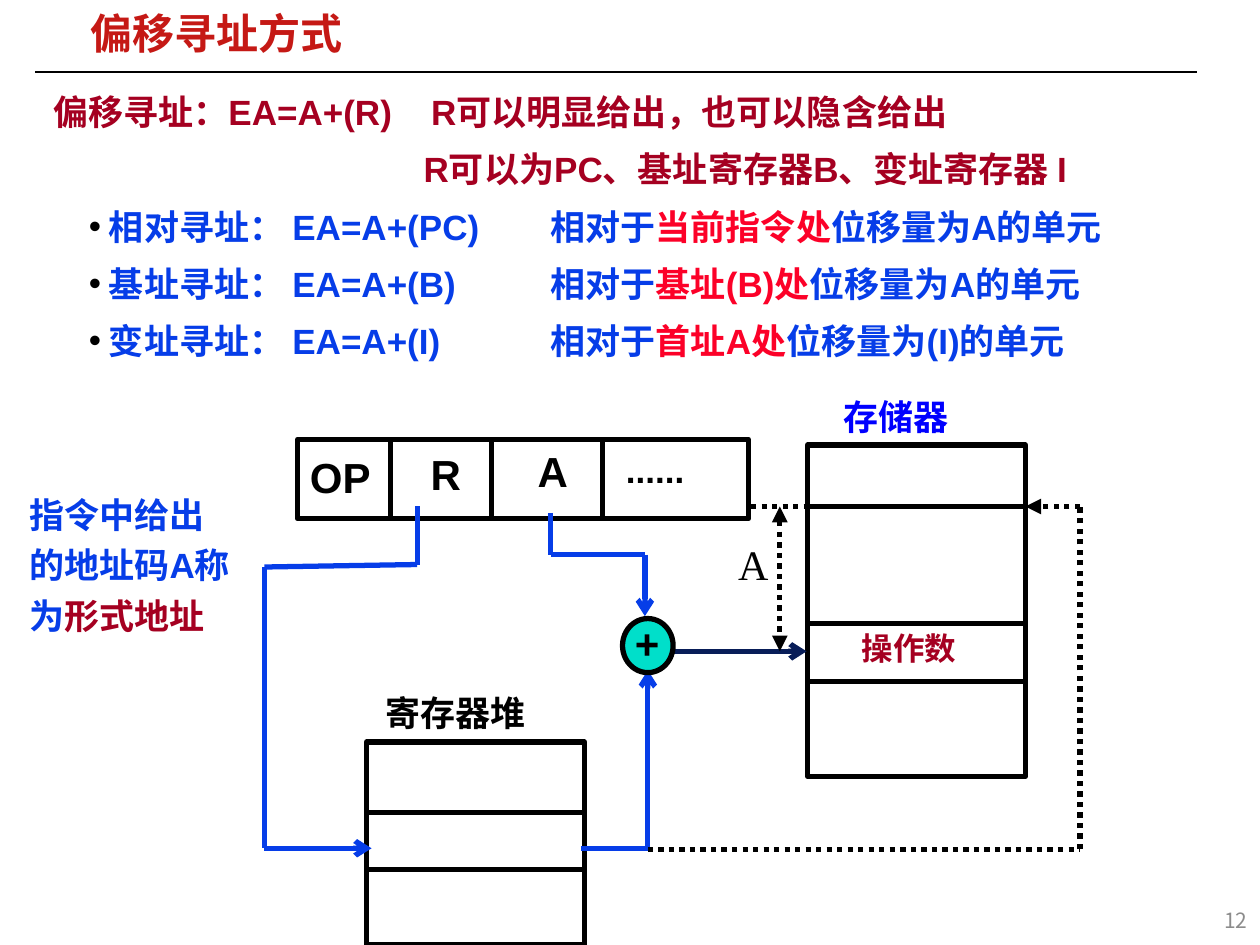
from pptx import Presentation
from pptx.dml.color import RGBColor
from pptx.enum.dml import MSO_LINE
from pptx.enum.shapes import MSO_CONNECTOR, MSO_SHAPE
from pptx.enum.text import MSO_ANCHOR, MSO_AUTO_SIZE, PP_ALIGN
from pptx.oxml.ns import qn
from pptx.util import Cm, Pt
from lxml import etree

STRAIGHT = MSO_CONNECTOR.STRAIGHT
RECT, OVAL = MSO_SHAPE.RECTANGLE, MSO_SHAPE.OVAL
TOP, MIDDLE = MSO_ANCHOR.TOP, MSO_ANCHOR.MIDDLE
LEFT, RIGHT = PP_ALIGN.LEFT, PP_ALIGN.RIGHT
DOT, NO_FIT = MSO_LINE.ROUND_DOT, MSO_AUTO_SIZE.NONE


class Theme:
    sans, serif, han = "Arial", "Times New Roman", "Noto Sans CJK SC"
    black, title, wine = "000000", "C51915", "A50021"
    blue, red, pure = "063DE8", "FC0128", "0000FF"
    navy, teal, gray = "081D58", "00DFCA", "8C8C8C"
    big, mid, small, tiny = 24, 20, 18, 12
    thick, thin = 3, 1
    tight, loose = (0.18, 0.08), (0.25, 0.13)


T = Theme

# All lengths are in centimetres: left, top, width, height.
TITLE = ("偏移寻址方式", (1.65, 0.23, 6.38, 1.02))
BODY = (0.89, 1.57, 22.96, 5.89)
HEADS = [
    ("偏移寻址：EA=A+(R)\tR可以明显给出，也可以隐含给出", 0, 7.6),
    ("R可以为PC、基址寄存器B、变址寄存器 I", 7.47, None),
]
MODES = [
    ("相对寻址： EA=A+(PC)\t相对于", "当前指令处", "位移量为A的单元"),
    ("基址寻址： EA=A+(B)\t相对于", "基址(B)处", "位移量为A的单元"),
    ("变址寻址： EA=A+(I)\t相对于", "首址A处", "位移量为(I)的单元"),
]
MODE_IN, MODE_TAB = 0.72, 10.03

CODE = (6.0, 8.86, 9.09, 1.6)
CODE_CUTS = [7.87, 9.91, 12.14]
MEMORY = (16.28, 8.97, 4.39, 6.68)
MEMORY_CUTS = [10.21, 12.57, 13.74]
FILE = (7.39, 14.96, 4.39, 4.09)
FILE_CUTS = [16.38, 17.53]
ADDER = (12.55, 12.47, 1.02, 1.09)

# Each wire: points, colour, dash, arrow at start, arrow at end.
WIRES = [
    ([(8.41, 10.21), (8.41, 11.38), (5.33, 11.43), (5.33, 17.1), (7.49, 17.1)],
     T.blue, None, None, "arrow"),
    ([(11.1, 10.34), (11.1, 11.18), (13.0, 11.18), (13.0, 12.42)],
     T.blue, None, None, "arrow"),
    ([(11.71, 17.1), (13.06, 17.1), (13.06, 13.51)],
     T.blue, None, None, "arrow"),
    ([(13.57, 13.13), (16.26, 13.13)], T.navy, None, None, "arrow"),
    ([(13.06, 17.12), (21.77, 17.12), (21.77, 10.21), (20.67, 10.21)],
     T.black, DOT, None, "triangle"),
    ([(15.14, 10.21), (16.26, 10.21)], T.black, DOT, None, None),
    ([(15.72, 10.21), (15.72, 13.13)], T.black, DOT, "triangle", "triangle"),
]

# Each label: text, box, font, size, colour, bold.
LABELS = [
    ("OP", (6.0, 8.97, 2.21, 1.27), T.sans, T.big, T.black, True),
    ("R", (8.43, 8.92, 1.17, 1.27), T.sans, T.big, T.black, True),
    ("A", (10.59, 8.86, 1.17, 1.27), T.sans, T.big, T.black, True),
    ("......", (12.37, 8.92, 2.29, 0.99), T.sans, T.mid, T.black, True),
    ("存储器", (16.76, 7.85, 3.84, 1.09), T.serif, T.mid, T.pure, True),
    ("操作数", (17.12, 12.55, 2.82, 1.02), T.serif, T.small, T.wine, True),
    ("寄存器堆", (7.52, 13.82, 4.7, 1.09), T.serif, T.mid, T.black, True),
    ("+", (12.55, 12.32, 1.02, 1.27), T.sans, T.big, T.black, True),
    ("A", (14.63, 10.72, 1.45, 1.27), T.serif, T.big, T.black, False),
]
NOTE = ("指令中给出的地址码A称为", "形式地址")
NOTE_BOX = (0.41, 9.7, 4.52, 3.23)
PAGE = ("12", (19.69, 18.03, 5.71, 1.02))


def ink(code):
    return RGBColor.from_string(code)


def style(run, size, color, font=T.sans, bold=True):
    run.font.name, run.font.size, run.font.bold = font, Pt(size), bold
    run.font.color.rgb = ink(color)
    east = etree.SubElement(run.font._element, qn("a:ea"))
    east.set("typeface", T.han)


def add_runs(para, parts, size):
    for text, color in parts:
        run = para.add_run()
        run.text = text
        style(run, size, color)


def place(shape, box):
    shape.left, shape.top, shape.width, shape.height = map(Cm, box)


def set_frame(shape, pads, anchor=TOP):
    frame = shape.text_frame
    frame.word_wrap, frame.auto_size = True, NO_FIT
    frame.margin_left = frame.margin_right = Cm(pads[0])
    frame.margin_top = frame.margin_bottom = Cm(pads[1])
    frame.vertical_anchor = anchor
    return frame


def indent(para, left, first, tab, bullet):
    """Set the margins, the bullet and one tab stop of a paragraph."""
    props = para._p.get_or_add_pPr()
    props.set("marL", str(Cm(left)))
    props.set("indent", str(Cm(first)))
    if bullet:
        paint = etree.SubElement(props, qn("a:buClr"))
        etree.SubElement(paint, qn("a:srgbClr")).set("val", T.black)
        etree.SubElement(props, qn("a:buFont")).set("typeface", T.sans)
        etree.SubElement(props, qn("a:buChar")).set("char", "•")
    else:
        etree.SubElement(props, qn("a:buNone"))
    if tab:
        stops = etree.SubElement(props, qn("a:tabLst"))
        stop = etree.SubElement(stops, qn("a:tab"))
        stop.set("pos", str(Cm(tab)))
        stop.set("algn", "l")


def add_line(shapes, start, end, color=T.black, width=T.thick, dash=None,
             head=None, tail=None):
    wire = shapes.add_connector(STRAIGHT, *map(Cm, start + end))
    wire.line.color.rgb, wire.line.width = ink(color), Pt(width)
    if dash:
        wire.line.dash_style = dash
    for tag, kind in (("a:headEnd", head), ("a:tailEnd", tail)):
        if kind:
            etree.SubElement(wire.line._ln, qn(tag)).set("type", kind)
    etree.SubElement(wire._element.spPr, qn("a:effectLst"))


def add_box(shapes, kind, box, fill=None):
    shape = shapes.add_shape(kind, *map(Cm, box))
    shape.shadow.inherit = False
    if fill:
        shape.fill.solid()
        shape.fill.fore_color.rgb = ink(fill)
    else:
        shape.fill.background()
    shape.line.color.rgb, shape.line.width = ink(T.black), Pt(T.thick)


def add_label(shapes, text, box, font, size, color, bold, anchor=TOP):
    label = shapes.add_textbox(*map(Cm, box))
    para = set_frame(label, T.loose, anchor).paragraphs[0]
    para.text = text
    style(para.runs[0], size, color, font, bold)
    return para


def fill_title(title):
    place(title, TITLE[1])
    para = set_frame(title, T.tight, MIDDLE).paragraphs[0]
    para.text = TITLE[0]
    para.alignment, para.line_spacing = LEFT, 0.87
    style(para.runs[0], T.big, T.title)


def fill_body(body):
    place(body, BODY)
    frame = set_frame(body, T.tight)
    rows = [([(text, T.wine)], left, 0, tab, False) for text, left, tab in HEADS]
    for start, key, end in MODES:
        parts = [(" " + start, T.blue), (key, T.red), (end, T.blue)]
        rows.append((parts, 0, MODE_IN, MODE_TAB, True))
    for i, (parts, left, first, tab, bullet) in enumerate(rows):
        para = frame.add_paragraph() if i else frame.paragraphs[0]
        para.level = int(bullet)
        para.alignment, para.line_spacing = LEFT, 1.2
        para.space_before = Pt(4 if i else 0)
        indent(para, left, first, tab, bullet)
        add_runs(para, parts, T.mid)


def draw(shapes):
    for box in (CODE, MEMORY, FILE):
        add_box(shapes, RECT, box)
    for x in CODE_CUTS:
        add_line(shapes, (x, CODE[1]), (x, CODE[1] + CODE[3]))
    for box, cuts in ((MEMORY, MEMORY_CUTS), (FILE, FILE_CUTS)):
        for y in cuts:
            add_line(shapes, (box[0], y), (box[0] + box[2], y))
    for points, color, dash, head, tail in WIRES:
        last = len(points) - 2
        for i, (start, end) in enumerate(zip(points, points[1:])):
            add_line(shapes, start, end, color, dash=dash,
                     head=None if i else head, tail=tail if i == last else None)
    add_box(shapes, OVAL, ADDER, T.teal)
    for label in LABELS:
        add_label(shapes, *label)


def main():
    deck = Presentation()
    deck.slide_width, deck.slide_height = Cm(25.4), Cm(19.05)
    slide = deck.slides.add_slide(deck.slide_layouts[1])
    shapes = slide.shapes
    add_line(shapes, (0.71, 1.45), (24.13, 1.45), width=T.thin)
    fill_title(shapes.title)
    fill_body(slide.placeholders[1])
    draw(shapes)
    note = shapes.add_textbox(*map(Cm, NOTE_BOX))
    para = set_frame(note, T.tight).paragraphs[0]
    para.line_spacing = 1.2
    add_runs(para, zip(NOTE, (T.blue, T.wine)), T.mid)
    page = add_label(shapes, *PAGE, T.han, T.tiny, T.gray, False, MIDDLE)
    page.alignment = RIGHT
    deck.save("out.pptx")


if __name__ == "__main__":
    main()
